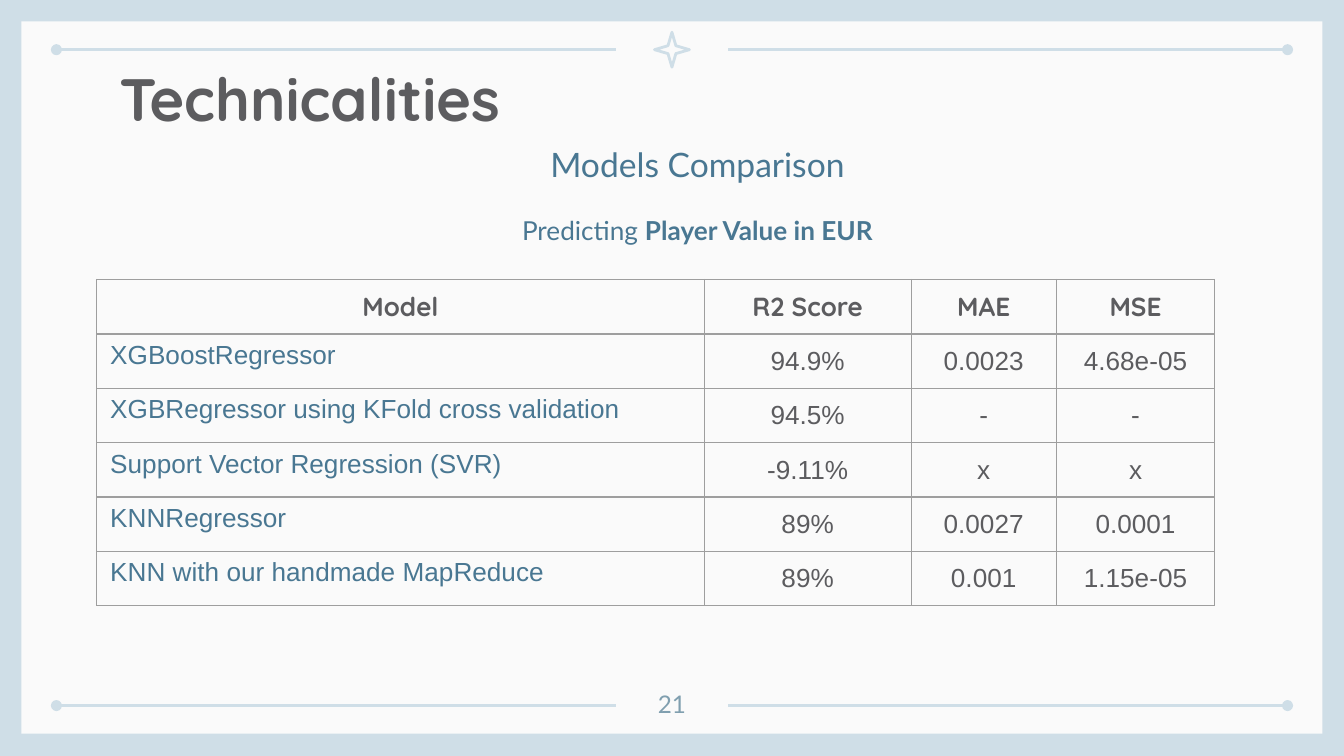
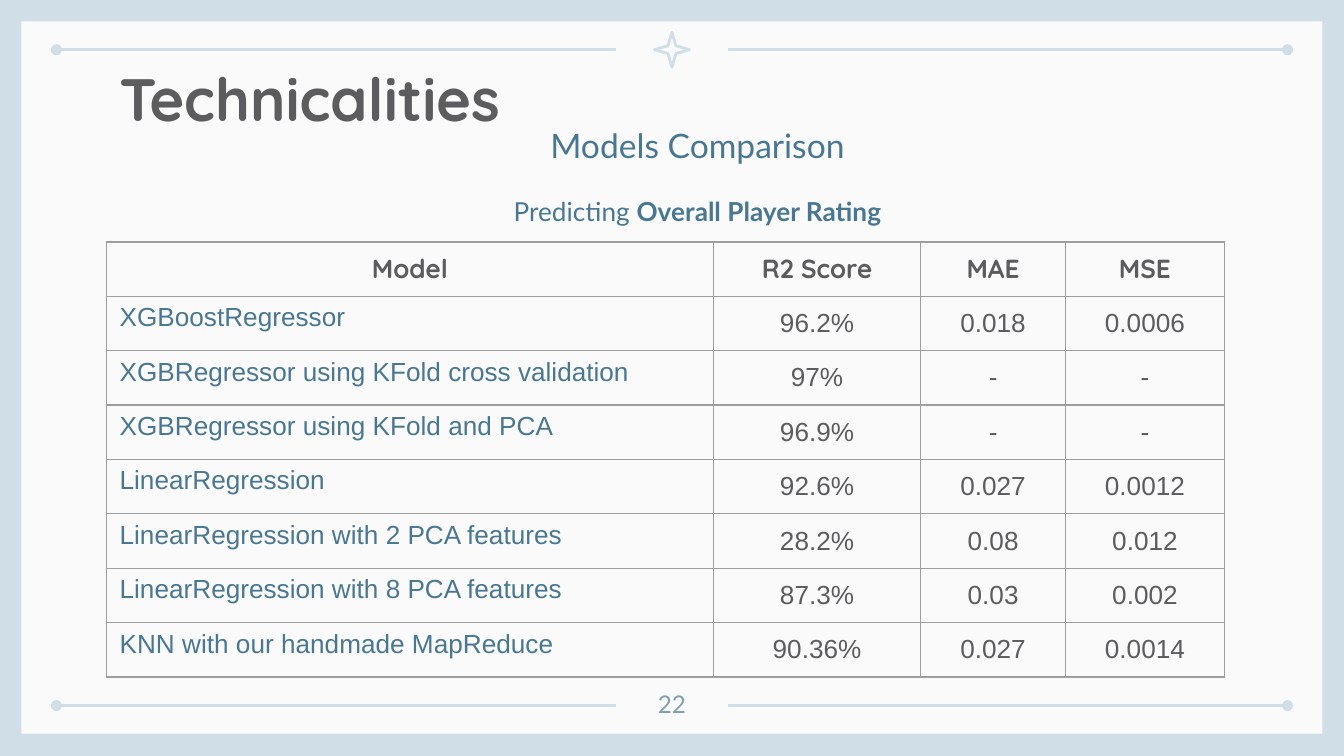
"""Build two slides that compare regression models in tables."""
from dataclasses import dataclass
from itertools import product

from lxml import etree
from pptx import Presentation
from pptx.dml.color import RGBColor
from pptx.enum import shapes, text
from pptx.oxml.ns import qn
from pptx.slide import Slide
from pptx.util import Inches, Pt

FRAME = RGBColor(0xCF, 0xDE, 0xE7)
PAPER = RGBColor(0xFA, 0xFA, 0xFA)
DARK = RGBColor(0x5C, 0x5C, 0x5F)
BLUE = RGBColor(0x49, 0x77, 0x92)
PAGE_BLUE = RGBColor(0x80, 0x9F, 0xAF)
GRID = RGBColor(0x9E, 0x9E, 0x9E)

SLIDE_WIDTH = Inches(10)
SLIDE_HEIGHT = SLIDE_WIDTH * 9 // 16
CENTER = text.PP_ALIGN.CENTER
LEFT = text.PP_ALIGN.LEFT
HEADERS = ("Model", "R2 Score", "MAE", "MSE")
COLUMN_WIDTHS = (4.52, 1.54, 1.08, 1.18)


@dataclass(frozen=True)
class Style:
    """Look of a run of text."""

    font: str
    size: int
    color: RGBColor
    bold: bool = False


TITLE = Style("Quicksand", 32, DARK, True)
PAGE_NUMBER = Style("Lato", 13, PAGE_BLUE)
SUBTITLE = Style("Lato", 18, BLUE)
TARGET = Style("Lato", 14, BLUE)
TARGET_BOLD = Style("Lato", 14, BLUE, True)
HEADER_CELL = Style("Quicksand", 14, DARK, True)
MODEL_CELL = Style("Arial", 14, BLUE)
SCORE_CELL = Style("Arial", 14, DARK)


@dataclass(frozen=True)
class Box:
    """Position and size in inches."""

    left: float
    top: float
    width: float
    height: float

    def lengths(self) -> tuple:
        """Return the four measures as lengths."""
        return tuple(map(Inches, (self.left, self.top, self.width, self.height)))


@dataclass(frozen=True)
class Run:
    """A piece of text with one style."""

    words: str
    style: Style


@dataclass(frozen=True)
class Comparison:
    """Content of one model comparison slide."""

    page: int
    target: str
    subtitle_top: float
    table_box: Box
    rows: tuple


COMPARISONS = (
    Comparison(21, "Player Value in EUR", 0.97, Box(0.72, 2.08, 8.32, 2.43), (
        ("XGBoostRegressor", "94.9%", "0.0023", "4.68e-05"),
        ("XGBRegressor using KFold cross validation", "94.5%", "-", "-"),
        ("Support Vector Regression (SVR)", "-9.11%", "x", "x"),
        ("KNNRegressor", "89%", "0.0027", "0.0001"),
        ("KNN with our handmade MapReduce", "89%", "0.001", "1.15e-05"),
    )),
    Comparison(22, "Overall Player Rating", 0.83, Box(0.79, 1.8, 8.32, 3.24), (
        ("XGBoostRegressor", "96.2%", "0.018", "0.0006"),
        ("XGBRegressor using KFold cross validation", "97%", "-", "-"),
        ("XGBRegressor using KFold and PCA", "96.9%", "-", "-"),
        ("LinearRegression", "92.6%", "0.027", "0.0012"),
        ("LinearRegression with 2 PCA features", "28.2%", "0.08", "0.012"),
        ("LinearRegression with 8 PCA features", "87.3%", "0.03", "0.002"),
        ("KNN with our handmade MapReduce", "90.36%", "0.027", "0.0014"),
    )),
)


def write_paragraph(paragraph, runs: tuple, alignment, space_after: int = 0) -> None:
    """Fill a paragraph run by run."""
    paragraph.alignment = alignment
    paragraph.space_after = Pt(space_after)
    for piece in runs:
        run = paragraph.add_run()
        run.text = piece.words
        run.font.name = piece.style.font
        run.font.size = Pt(piece.style.size)
        run.font.bold = piece.style.bold
        run.font.color.rgb = piece.style.color


def add_text(slide: Slide, box: Box, paragraphs: tuple, alignment=CENTER, space_after: int = 0) -> None:
    """Add a wrapped text box, one tuple of runs for each paragraph."""
    frame = slide.shapes.add_textbox(*box.lengths()).text_frame
    frame.word_wrap = True
    frame.vertical_anchor = text.MSO_ANCHOR.TOP
    frame.margin_left = frame.margin_right = Inches(0.1)
    frame.margin_top = frame.margin_bottom = Inches(0.1)
    for index, runs in enumerate(paragraphs):
        paragraph = frame.add_paragraph() if index else frame.paragraphs[0]
        write_paragraph(paragraph, runs, alignment, space_after)


def add_rule(slide: Slide, y: float, start: float, end: float, dotted_end: str) -> None:
    """Add a horizontal rule with a dot at one end."""
    rule = slide.shapes.add_connector(
        shapes.MSO_CONNECTOR.STRAIGHT, Inches(start), Inches(y), Inches(end), Inches(y))
    rule.line.color.rgb = FRAME
    rule.line.width = Pt(1.5)
    properties = rule._element.spPr
    etree.SubElement(properties.find(qn("a:ln")), qn(dotted_end), type="oval")
    etree.SubElement(properties, qn("a:effectLst"))


def add_frame(slide: Slide) -> None:
    """Draw the border, paper, rules and star that every slide shares."""
    slide.background.fill.solid()
    slide.background.fill.fore_color.rgb = FRAME
    paper = slide.shapes.add_shape(
        shapes.MSO_SHAPE.RECTANGLE, *Box(0.16, 0.16, 9.68, 5.3).lengths())
    paper.shadow.inherit = False
    paper.fill.solid()
    paper.fill.fore_color.rgb = PAPER
    paper.line.fill.background()
    for y in (0.37, 5.25):
        add_rule(slide, y, 0.42, 4.58, "a:headEnd")
        add_rule(slide, y, 5.42, 9.58, "a:tailEnd")
    star = slide.shapes.add_shape(
        shapes.MSO_SHAPE.STAR_4_POINT, *Box(4.87, 0.24, 0.26, 0.26).lengths())
    star.shadow.inherit = False
    star.adjustments[0] = 0.16
    star.fill.background()
    star.line.color.rgb = FRAME
    star.line.width = Pt(1.5)


def add_borders(cell) -> None:
    """Give a cell thin grey borders on all sides."""
    properties = cell._tc.get_or_add_tcPr()
    for side in ("a:lnL", "a:lnR", "a:lnT", "a:lnB"):
        border = etree.SubElement(properties, qn(side), w=str(Pt(0.75)))
        fill = etree.SubElement(border, qn("a:solidFill"))
        etree.SubElement(fill, qn("a:srgbClr"), val=str(GRID))


def add_score_table(slide: Slide, box: Box, rows: tuple) -> None:
    """Add the table of models and their scores below a header row."""
    lines = (HEADERS, *rows)
    table = slide.shapes.add_table(len(lines), len(HEADERS), *box.lengths()).table
    table.first_row = table.horz_banding = False
    for column, width in zip(table.columns, COLUMN_WIDTHS):
        column.width = Inches(width)
    for row, column in product(range(len(lines)), range(len(HEADERS))):
        cell = table.cell(row, column)
        is_model = row > 0 and column == 0
        style = HEADER_CELL if row == 0 else MODEL_CELL if is_model else SCORE_CELL
        cell.vertical_anchor = text.MSO_ANCHOR.TOP if is_model else text.MSO_ANCHOR.MIDDLE
        add_borders(cell)
        if style is SCORE_CELL:
            cell.fill.solid()
            cell.fill.fore_color.rgb = PAPER
        else:
            cell.fill.background()
        write_paragraph(cell.text_frame.paragraphs[0], (Run(lines[row][column], style),),
                        LEFT if is_model else CENTER)


def add_comparison(presentation, comparison: Comparison) -> None:
    """Add one complete comparison slide."""
    slide = presentation.slides.add_slide(presentation.slide_layouts[6])
    add_frame(slide)
    add_text(slide, Box(0.79, 0.36, 8.43, 0.61), ((Run("Technicalities", TITLE),),), LEFT)
    add_text(slide, Box(4.7, 5.03, 0.6, 0.36), ((Run(str(comparison.page), PAGE_NUMBER),),))
    add_text(slide, Box(0.79, comparison.subtitle_top, 8.8, 0.51), (
        (Run("Models Comparison", SUBTITLE),),
        (Run("Predicting ", TARGET), Run(comparison.target, TARGET_BOLD)),
    ), space_after=16)
    add_score_table(slide, comparison.table_box, comparison.rows)


def main() -> None:
    """Build and save the presentation."""
    presentation = Presentation()
    presentation.slide_width = SLIDE_WIDTH
    presentation.slide_height = SLIDE_HEIGHT
    for comparison in COMPARISONS:
        add_comparison(presentation, comparison)
    presentation.save("out.pptx")


if __name__ == "__main__":
    main()
